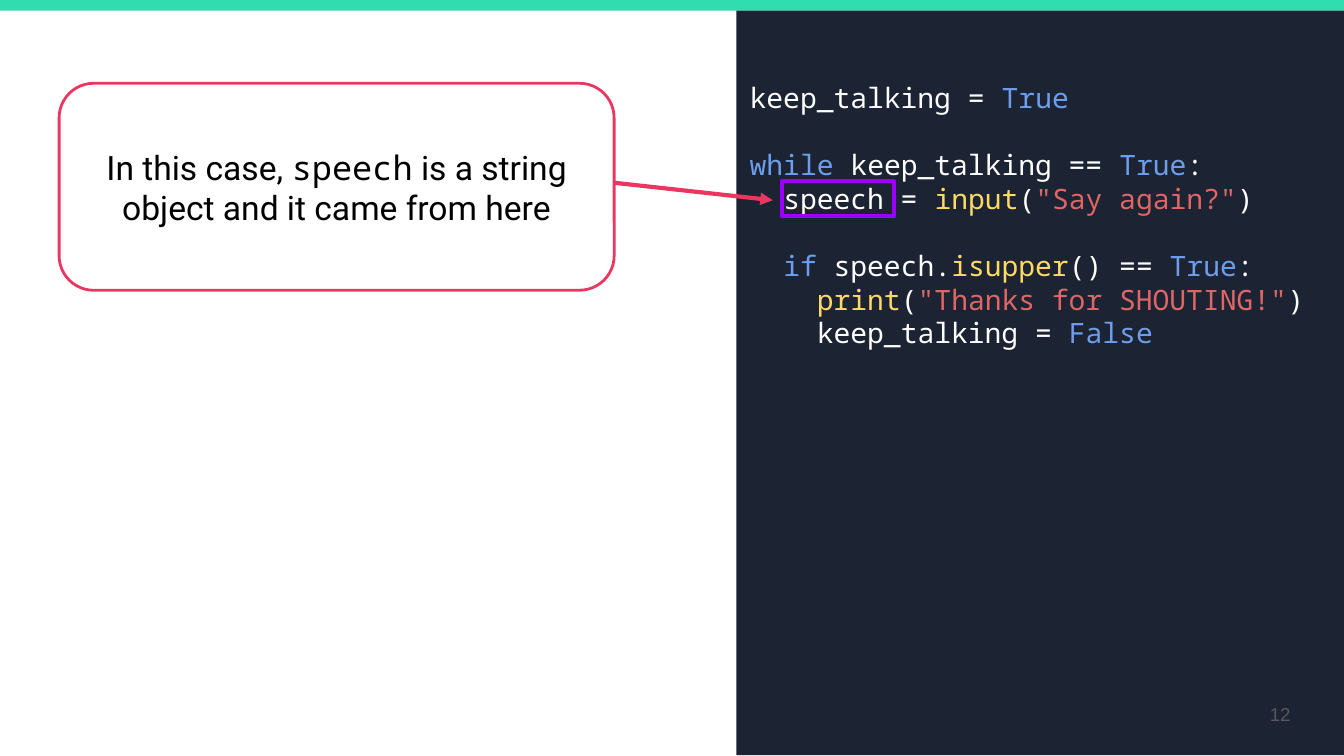
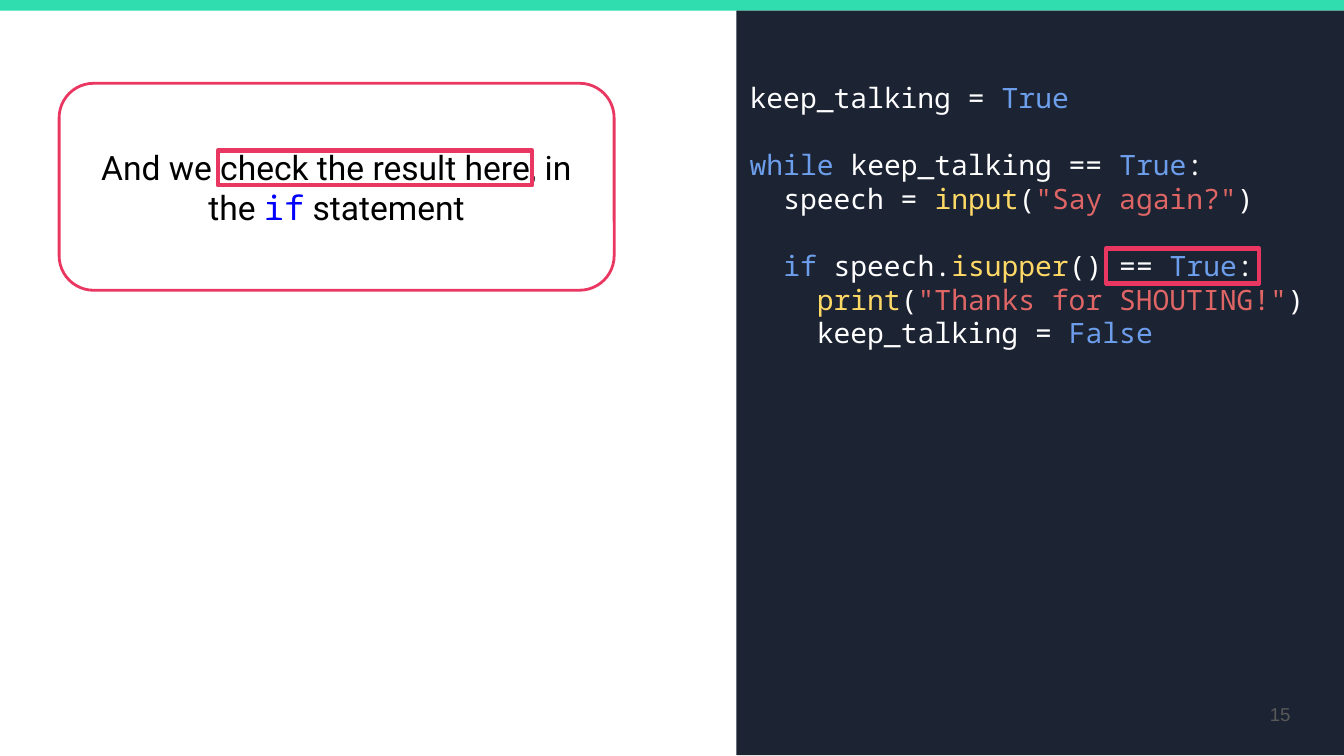
"""Build two slides that explain a Python loop beside its code."""
from dataclasses import dataclass
from typing import Optional

from lxml import etree
from pptx import Presentation
from pptx.dml.color import RGBColor
from pptx.enum.shapes import MSO_CONNECTOR, MSO_SHAPE
from pptx.enum.text import MSO_ANCHOR, PP_ALIGN
from pptx.oxml.ns import qn
from pptx.util import Inches, Pt

RECTANGLE = MSO_SHAPE.RECTANGLE
ROUNDED = MSO_SHAPE.ROUNDED_RECTANGLE
STRAIGHT = MSO_CONNECTOR.STRAIGHT
MIDDLE = MSO_ANCHOR.MIDDLE
CENTER, RIGHT = PP_ALIGN.CENTER, PP_ALIGN.RIGHT

COLOURS = {
    "band": "30DDAE",
    "panel": "1C2333",
    "white": "FFFFFF",
    "black": "000000",
    "accent": "E93761",
    "purple": "9900FF",
    "keyword": "6D9EEB",
    "function": "FFD966",
    "string": "E06666",
    "inline": "0000FF",
    "number": "595959",
}
BODY_FONT, CODE_FONT, NUMBER_FONT = "Roboto", "Noto Sans Mono", "Arial"
SLIDE_WIDTH = Inches(10)
SLIDE_HEIGHT = SLIDE_WIDTH * 9 // 16
CODE_LINE = Pt(18)
CODE_INDENT = Inches(0.25)
BAND_ID = "100"


@dataclass(frozen=True)
class Box:
    left: float
    top: float
    width: float
    height: float

    def lengths(self) -> tuple:
        return tuple(map(Inches, (self.left, self.top, self.width, self.height)))


@dataclass(frozen=True)
class Token:
    text: str
    colour: str = "white"
    font: Optional[str] = None


@dataclass(frozen=True)
class CodeLine:
    tokens: tuple
    level: int = 0
    gap_before: bool = False


@dataclass(frozen=True)
class Highlight:
    box: Box
    colour: str = "accent"


@dataclass(frozen=True)
class Arrow:
    start: tuple
    end: tuple


@dataclass(frozen=True)
class Lesson:
    number: int
    message: tuple
    highlights: tuple
    arrow: Optional[Arrow] = None


BAND = Box(-0.01, 0, 10.02, 0.08)
PANEL = Box(5.48, 0.08, 4.53, 5.54)
CODE = Box(5.48, 0.25, 4.53, 4.85)
CALLOUT = Box(0.44, 0.62, 4.13, 1.54)
NUMBER = Box(9.1, 5.1, 0.6, 0.43)

TRUE = Token("True", "keyword")
COLON = Token(":")
OPEN, CLOSE = Token("("), Token(")")
PROGRAM = (
    CodeLine((Token("keep_talking = "), TRUE)),
    CodeLine((Token("while", "keyword"), Token(" keep_talking == "), TRUE, COLON),
             gap_before=True),
    CodeLine((Token("speech = "), Token("input", "function"), OPEN,
              Token('"Say again?"', "string"), CLOSE), level=1),
    CodeLine((Token("if", "keyword"), Token(" speech."), Token("isupper", "function"),
              Token("() == "), TRUE, COLON), level=1, gap_before=True),
    CodeLine((Token("print", "function"), OPEN,
              Token('"Thanks for SHOUTING!"', "string"), CLOSE), level=2),
    CodeLine((Token("keep_talking = "), Token("False", "keyword")), level=2),
)

LESSONS = (
    Lesson(
        12,
        (Token("In this case, ", "black", BODY_FONT),
         Token("speech", "black", CODE_FONT),
         Token(" is a string object and it came from here", "black", BODY_FONT)),
        (Highlight(Box(5.82, 1.35, 0.83, 0.26), "purple"),),
        Arrow((4.57, 1.36), (5.75, 1.49)),
    ),
    Lesson(
        15,
        (Token("And we check the result here, in the ", "black", BODY_FONT),
         Token("if", "inline", CODE_FONT),
         Token(" statement", "black", BODY_FONT)),
        (Highlight(Box(8.23, 1.85, 1.14, 0.26)),
         Highlight(Box(1.62, 1.12, 2.34, 0.26))),
    ),
)


def colour(name: str) -> RGBColor:
    """Return the named colour."""
    return RGBColor.from_string(COLOURS[name])


def add_box(slide, box: Box, fill: Optional[str] = None, line: Optional[str] = None,
            weight: float = 2.25, kind=RECTANGLE):
    """Draw a flat shape with an optional fill and outline."""
    shape = slide.shapes.add_shape(kind, *box.lengths())
    shape.shadow.inherit = False
    if fill:
        shape.fill.solid()
        shape.fill.fore_color.rgb = colour(fill)
    else:
        shape.fill.background()
    if line:
        shape.line.color.rgb = colour(line)
        shape.line.width = Pt(weight)
    else:
        shape.line.fill.background()
    return shape


def set_frame(shape, anchor=None):
    """Wrap the text of a shape, set its insets and return its frame."""
    frame = shape.text_frame
    frame.word_wrap = True
    frame.margin_left = frame.margin_right = Inches(0.1)
    frame.margin_top = frame.margin_bottom = Inches(0.1)
    if anchor is not None:
        frame.vertical_anchor = anchor
    return frame


def add_tokens(paragraph, tokens: tuple) -> None:
    """Write coloured runs into a paragraph."""
    for token in tokens:
        run = paragraph.add_run()
        run.text = token.text
        run.font.color.rgb = colour(token.colour)
        if token.font:
            run.font.name = token.font


def add_code(slide) -> None:
    """Write the program on its dark panel."""
    add_box(slide, PANEL, "panel")
    frame = set_frame(slide.shapes.add_textbox(*CODE.lengths()))
    frame.margin_top = Inches(0.1) + CODE_LINE
    for index, line in enumerate(PROGRAM):
        paragraph = frame.add_paragraph() if index else frame.paragraphs[0]
        paragraph.font.size = Pt(15)
        paragraph.font.name = CODE_FONT
        if line.gap_before:
            paragraph.space_before = CODE_LINE
        properties = paragraph._p.get_or_add_pPr()
        properties.set("marL", str(line.level * CODE_INDENT))
        properties.set("indent", "0")
        add_tokens(paragraph, line.tokens)


def add_number(slide, number: int) -> None:
    """Write the slide number."""
    frame = set_frame(slide.shapes.add_textbox(*NUMBER.lengths()), MIDDLE)
    paragraph = frame.paragraphs[0]
    paragraph.text = str(number)
    paragraph.alignment = RIGHT
    paragraph.font.size = Pt(10)
    paragraph.font.name = NUMBER_FONT
    paragraph.font.color.rgb = colour("number")


def add_callout(slide, message: tuple) -> None:
    """Draw the rounded callout with its message."""
    callout = add_box(slide, CALLOUT, "white", "accent", 1.5, ROUNDED)
    callout.adjustments[0] = 0.167
    paragraph = set_frame(callout, MIDDLE).paragraphs[0]
    paragraph.alignment = CENTER
    paragraph.font.size = Pt(18)
    add_tokens(paragraph, message)


def add_arrow(slide, arrow: Arrow) -> None:
    """Draw a straight arrow."""
    connector = slide.shapes.add_connector(
        STRAIGHT, *map(Inches, arrow.start + arrow.end))
    connector.line.color.rgb = colour("accent")
    connector.line.width = Pt(2.25)
    etree.SubElement(connector.line._get_or_add_ln(), qn("a:tailEnd"), type="triangle")
    etree.SubElement(connector._element.spPr, qn("a:effectLst"))


def add_lesson(presentation, lesson: Lesson):
    """Add one slide with its code, callout and marks."""
    slide = presentation.slides.add_slide(presentation.slide_layouts[6])
    add_code(slide)
    add_number(slide, lesson.number)
    add_callout(slide, lesson.message)
    if lesson.arrow:
        add_arrow(slide, lesson.arrow)
    for highlight in lesson.highlights:
        add_box(slide, highlight.box, line=highlight.colour)
    return slide


def move_to_master(presentation, shape) -> None:
    """Move a shape to the slide master so that every slide shows it."""
    shape._element.nvSpPr.cNvPr.set("id", BAND_ID)
    presentation.slide_master.shapes._spTree.append(shape._element)


def main() -> None:
    """Build and save the presentation."""
    presentation = Presentation()
    presentation.slide_width = SLIDE_WIDTH
    presentation.slide_height = SLIDE_HEIGHT
    slides = [add_lesson(presentation, lesson) for lesson in LESSONS]
    move_to_master(presentation, add_box(slides[0], BAND, "band"))
    presentation.save("out.pptx")


if __name__ == "__main__":
    main()
